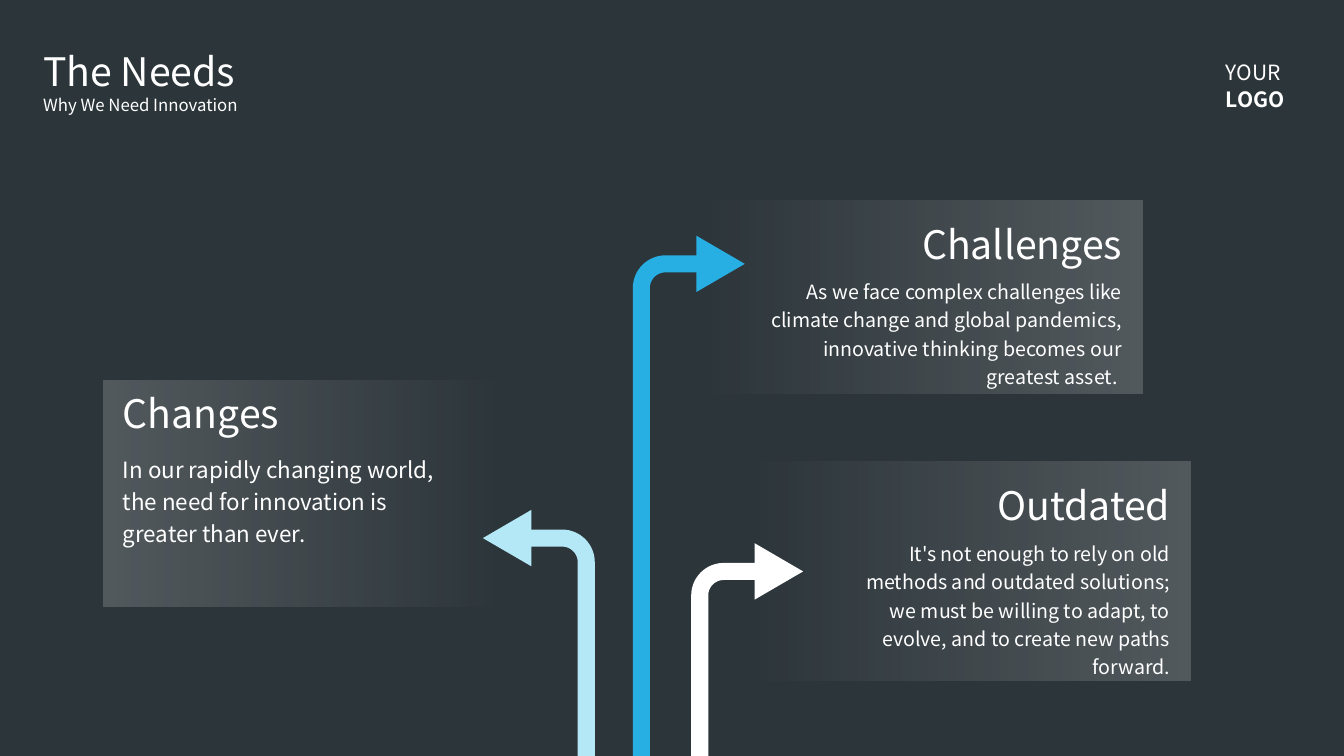
from math import cos, pi, sin

from lxml.etree import SubElement
from pptx import Presentation
from pptx.dml.color import RGBColor
from pptx.enum.shapes import MSO_SHAPE as Shape
from pptx.enum.text import MSO_AUTO_SIZE as AutoSize, PP_ALIGN as Align
from pptx.oxml.ns import qn
from pptx.util import Cm, Pt

SLATE = RGBColor(0x2C, 0x35, 0x3A)
WHITE = RGBColor(0xFF, 0xFF, 0xFF)
MIST = RGBColor(0xF2, 0xF2, 0xF2)
BLUE = RGBColor(0x27, 0xAE, 0xE2)
ICE = RGBColor(0xB5, 0xE8, 0xF7)
FONT = "Noto Sans CJK JP"
SLIDE_W, SLIDE_H = 33.87, 19.05

# Arrow measures in cm
STEM = 0.43
OUTER_RADIUS = 0.82
INNER_RADIUS = OUTER_RADIUS - STEM
BEND_REACH, HEAD_BASE, TIP_REACH = 2.21, 1.6, 2.82
HEAD_HALF = 0.71

# Panel box, text side, heading top, body top, body width, body size, wording
PANELS = [
    ((18.62, 11.63, 11.38, 5.51), Align.RIGHT, 0.51, 1.91, 7.92, 14, "Outdated",
     "It's not enough to rely on old methods and outdated solutions; "
     "we must be willing to adapt, to evolve, and to create new paths forward."),
    ((17.4, 5.06, 11.39, 4.85), Align.RIGHT, 0.48, 1.88, 9.14, 14, "Challenges",
     "As we face complex challenges like climate change and global pandemics, "
     "innovative thinking becomes our greatest asset. "),
    ((2.6, 9.6, 10.28, 5.69), Align.LEFT, 0.2, 1.75, 7.92, 16, "Changes",
     "In our rapidly changing world, the need for innovation is greater than ever."),
]
# Outer stem edge, height of the arrow's axis, direction, colour
ARROWS = [
    (17.42, 14.4, 1, WHITE),
    (15.95, 6.65, 1, BLUE),
    (14.99, 13.56, -1, ICE),
]


def add_text(slide, box, lines, size, align=Align.LEFT, spacing=None, bold_last=False):
    frame = slide.shapes.add_textbox(*map(Cm, box)).text_frame
    frame_format = {"margin_left": 0, "margin_top": 0, "margin_right": 0,
                    "margin_bottom": 0, "word_wrap": True,
                    "auto_size": AutoSize.SHAPE_TO_FIT_TEXT}
    for key, value in frame_format.items():
        setattr(frame, key, value)
    for number, line in enumerate(lines):
        paragraph = frame.add_paragraph() if number else frame.paragraphs[0]
        paragraph.alignment = align
        if spacing:
            paragraph.line_spacing = spacing
        run = paragraph.add_run()
        run.text = line
        run_format = {"name": FONT, "size": Pt(size),
                      "bold": bold_last and number == len(lines) - 1}
        for key, value in run_format.items():
            setattr(run.font, key, value)
        run.font.color.rgb = WHITE


def add_header(slide, box):
    left, top, width, _ = box
    add_text(slide, (left, top, 6.81, 1.19), ["The Needs"], 28)
    add_text(slide, (left, top + 1.19, 8.03, 0.51), ["Why We Need Innovation"], 12)
    # Placeholder wordmark at the right end
    add_text(slide, (left + width - 1.5, top + 0.25, 1.9, 1.37),
             ["YOUR", "LOGO"], 15, spacing=Pt(19.5), bold_last=True)


def add_panel(slide, box, side, heading_top, body_top, body_width, body_size,
              heading, body):
    left, top, width, height = box
    panel = slide.shapes.add_shape(Shape.RECTANGLE, *map(Cm, box))
    panel.shadow.inherit = False
    panel.line.fill.background()
    panel.rotation = 180 if side == Align.RIGHT else 0

    # Fade from a faint light to nothing
    panel.fill.gradient()
    panel.fill.gradient_angle = 0
    for stop, alpha in zip(panel.fill.gradient_stops, (20000, 0)):
        stop.color.rgb = MIST
    for colour, alpha in zip(panel.element.spPr.iter(qn("a:srgbClr")), (20000, 0)):
        SubElement(colour, qn("a:alpha")).set("val", str(alpha))

    # Heading and body hug the solid side
    for text, offset, text_width, text_height, size, spacing in (
            (heading, heading_top, 6, 1.19, 28, None),
            (body, body_top, body_width, 3, body_size, 1.2)):
        inset = 0.5 if side == Align.LEFT else width - 0.51 - text_width
        add_text(slide, (left + inset, top + offset, text_width, text_height),
                 [text], size, side, spacing)


def arc(radius, start, end, steps=16):
    """Points around the bend's centre, angles in quarter turns."""
    angles = [(start + (end - start) * i / steps) * pi / 2 for i in range(steps + 1)]
    return [(OUTER_RADIUS + radius * cos(a), OUTER_RADIUS - radius * sin(a))
            for a in angles]


def add_arrow(slide, outer_edge, axis, direction, colour):
    top = axis - STEM / 2
    length = SLIDE_H - top
    bend = [(STEM, length), (0, length), *arc(OUTER_RADIUS, 2, 1),
            (BEND_REACH, 0), (BEND_REACH, STEM), *arc(INNER_RADIUS, 1, 2)]
    head = [(TIP_REACH, STEM / 2), (HEAD_BASE, STEM / 2 - HEAD_HALF),
            (HEAD_BASE, STEM / 2 + HEAD_HALF)]
    for outline in (bend, head):
        points = [(Cm(outer_edge + direction * x), Cm(top + y)) for x, y in outline]
        builder = slide.shapes.build_freeform(*points[0])
        builder.add_line_segments(points[1:], close=True)
        part = builder.convert_to_shape()
        part.shadow.inherit = False
        part.fill.solid()
        part.fill.fore_color.rgb = colour
        part.line.fill.background()


def main():
    deck = Presentation()
    deck.slide_width, deck.slide_height = Cm(SLIDE_W), Cm(SLIDE_H)
    slide = deck.slides.add_slide(deck.slide_layouts[6])
    slide.background.fill.solid()
    slide.background.fill.fore_color.rgb = SLATE

    add_header(slide, (1.09, 1.19, 31.3, 1.7))
    for panel in PANELS:
        add_panel(slide, *panel)
    for arrow in ARROWS:
        add_arrow(slide, *arrow)
    deck.save("out.pptx")


if __name__ == "__main__":
    main()
